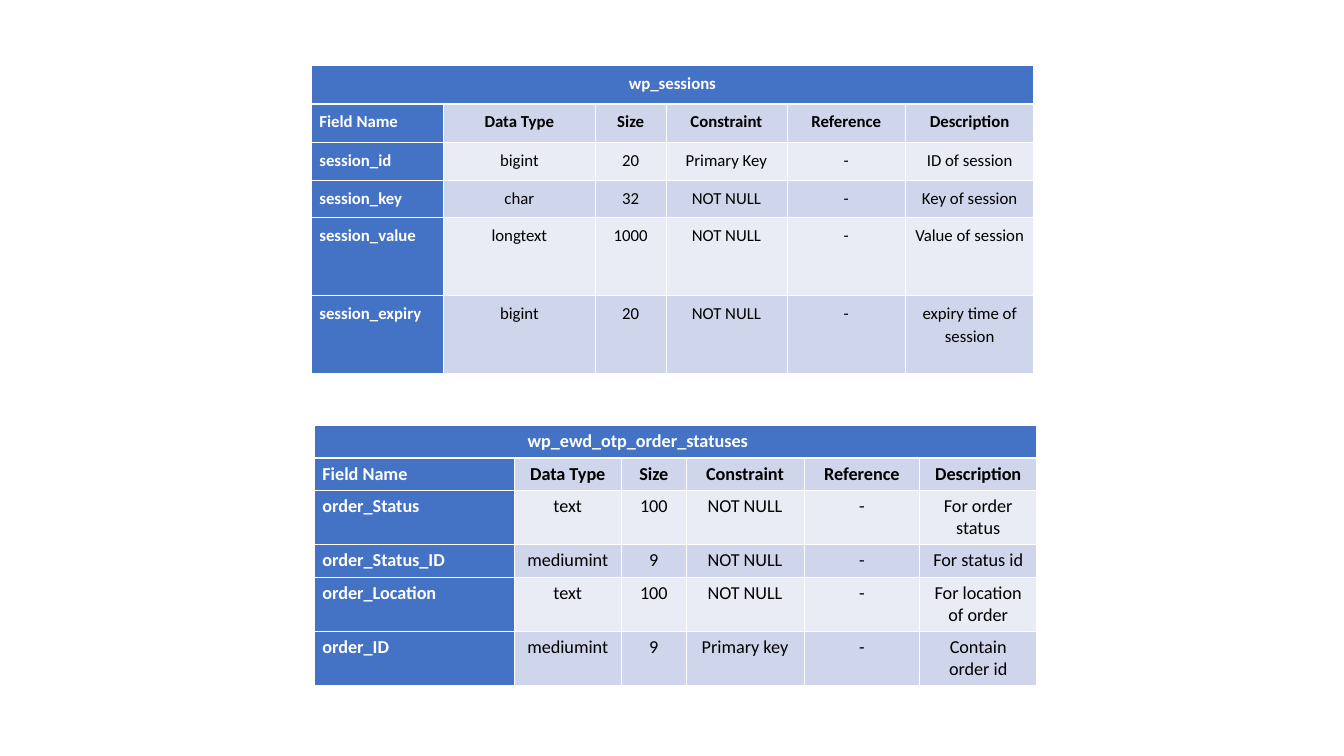
"""Build a slide with the field tables of two database relations."""
from dataclasses import dataclass

import lxml.etree
import pptx
import pptx.dml.color
import pptx.enum.text
import pptx.oxml.ns
import pptx.slide
import pptx.table
import pptx.util

RGBColor = pptx.dml.color.RGBColor
BLUE = RGBColor(0x44, 0x72, 0xC4)
DARK_BAND = RGBColor(0xCF, 0xD5, 0xEA)
LIGHT_BAND = RGBColor(0xE9, 0xEB, 0xF5)
WHITE = RGBColor(0xFF, 0xFF, 0xFF)
BLACK = RGBColor(0x00, 0x00, 0x00)

FONT = "Calibri"
SLIDE_WIDTH = pptx.util.Inches(13.34)
SLIDE_HEIGHT = pptx.util.Inches(7.5)
GRID_COLUMNS, GRID_ROWS = 1334, 750
THIN, THICK = pptx.util.Pt(0.45), pptx.util.Pt(1.47)
HEADINGS = ("Field Name", "Data Type", "Size", "Constraint", "Reference", "Description")


@dataclass(frozen=True)
class Relation:
    """A titled field table placed on the slide grid."""

    title: str
    left: int
    top: int
    column_widths: tuple[int, ...]
    row_heights: tuple[int, ...]
    fields: tuple[tuple[str, ...], ...]
    font_size: int
    line_spacing: float | None = None
    title_tab: int | None = None


ORDER_STATUSES = Relation(
    title="wp_ewd_otp_order_statuses",
    left=312,
    top=422,
    column_widths=(198, 107, 64, 117, 115, 116),
    row_heights=(32, 32, 54, 32, 54, 54),
    fields=(
        ("order_Status", "text", "100", "NOT NULL", "-", "For order status"),
        ("order_Status_ID", "mediumint", "9", "NOT NULL", "-", "For status id"),
        ("order_Location", "text", "100", "NOT NULL", "-", "For location of order"),
        ("order_ID", "mediumint", "9", "Primary key", "-", "Contain order id"),
    ),
    font_size=13,
    title_tab=313,
)
SESSIONS = Relation(
    title="wp_sessions",
    left=309,
    top=65,
    column_widths=(131, 151, 70, 120, 118, 127),
    row_heights=(38, 38, 38, 37, 77, 77),
    fields=(
        ("session_id", "bigint", "20", "Primary Key", "-", "ID of session"),
        ("session_key", "char", "32", "NOT NULL", "-", "Key of session"),
        ("session_value", "longtext", "1000", "NOT NULL", "-", "Value of session"),
        ("session_expiry", "bigint", "20", "NOT NULL", "-", "expiry time of session"),
    ),
    font_size=12,
    line_spacing=1.15,
)


def across(columns: int) -> int:
    """Return the length of a number of grid columns."""
    return round(SLIDE_WIDTH * columns / GRID_COLUMNS)


def down(rows: int) -> int:
    """Return the length of a number of grid rows."""
    return round(SLIDE_HEIGHT * rows / GRID_ROWS)


def add_element(parent: lxml.etree._Element, tag: str, **attributes: str) -> lxml.etree._Element:
    """Append a DrawingML element to its parent."""
    return lxml.etree.SubElement(parent, pptx.oxml.ns.qn(tag), attributes)


def draw_borders(cell: pptx.table._Cell, row: int) -> None:
    """Give a cell white borders, thick between title and headings."""
    properties = cell._tc.get_or_add_tcPr()
    widths = {
        "a:lnL": THIN,
        "a:lnR": THIN,
        "a:lnT": THICK if row == 1 else THIN,
        "a:lnB": THICK if row == 0 else THIN,
    }
    for tag, width in widths.items():
        line = add_element(properties, tag, w=str(int(width)))
        add_element(add_element(line, "a:solidFill"), "a:srgbClr", val=str(WHITE))


def format_cell(cell: pptx.table._Cell, row: int, column: int) -> None:
    """Set the margins, borders and fill of a cell."""
    cell.margin_left = cell.margin_right = across(8)
    cell.margin_top = cell.margin_bottom = down(5)
    draw_borders(cell, row)
    cell.fill.solid()
    if row == 0 or column == 0:
        cell.fill.fore_color.rgb = BLUE
    else:
        cell.fill.fore_color.rgb = DARK_BAND if row % 2 else LIGHT_BAND


def write_cell(cell: pptx.table._Cell, text: str, row: int, column: int, relation: Relation) -> None:
    """Write and format the text of a cell."""
    alignments = pptx.enum.text.PP_ALIGN
    paragraph = cell.text_frame.paragraphs[0]
    is_tabbed = row == 0 and relation.title_tab is not None
    if is_tabbed:
        tabs = add_element(paragraph._p.get_or_add_pPr(), "a:tabLst")
        add_element(tabs, "a:tab", pos=str(across(relation.title_tab)), algn="ctr")
    paragraph.text = f"\t{text}" if is_tabbed else text
    is_left = is_tabbed or (row > 0 and column == 0)
    paragraph.alignment = alignments.LEFT if is_left else alignments.CENTER
    if relation.line_spacing is not None:
        paragraph.line_spacing = relation.line_spacing
    for run in paragraph.runs:
        run.font.name = FONT
        run.font.size = pptx.util.Pt(relation.font_size)
        run.font.bold = row < 2 or column == 0
        run.font.color.rgb = WHITE if row == 0 or column == 0 else BLACK


def draw_relation(slide: pptx.slide.Slide, relation: Relation) -> None:
    """Draw a relation as a table."""
    table = slide.shapes.add_table(
        len(relation.row_heights),
        len(relation.column_widths),
        across(relation.left),
        down(relation.top),
        across(sum(relation.column_widths)),
        down(sum(relation.row_heights)),
    ).table
    table.first_row = table.horz_banding = False
    for column, width in zip(table.columns, relation.column_widths):
        column.width = across(width)
    for row, height in zip(table.rows, relation.row_heights):
        row.height = down(height)
    table.cell(0, 0).merge(table.cell(0, len(HEADINGS) - 1))
    for row_index, row in enumerate(table.rows):
        for column_index, cell in enumerate(row.cells):
            format_cell(cell, row_index, column_index)
    for row_index, texts in enumerate(((relation.title,), HEADINGS, *relation.fields)):
        for column_index, text in enumerate(texts):
            write_cell(table.cell(row_index, column_index), text, row_index, column_index, relation)


def main() -> None:
    """Build and save the presentation."""
    presentation = pptx.Presentation()
    presentation.slide_width = SLIDE_WIDTH
    presentation.slide_height = SLIDE_HEIGHT
    slide = presentation.slides.add_slide(presentation.slide_layouts.get_by_name("Blank"))
    for relation in (ORDER_STATUSES, SESSIONS):
        draw_relation(slide, relation)
    presentation.save("out.pptx")


if __name__ == "__main__":
    main()
